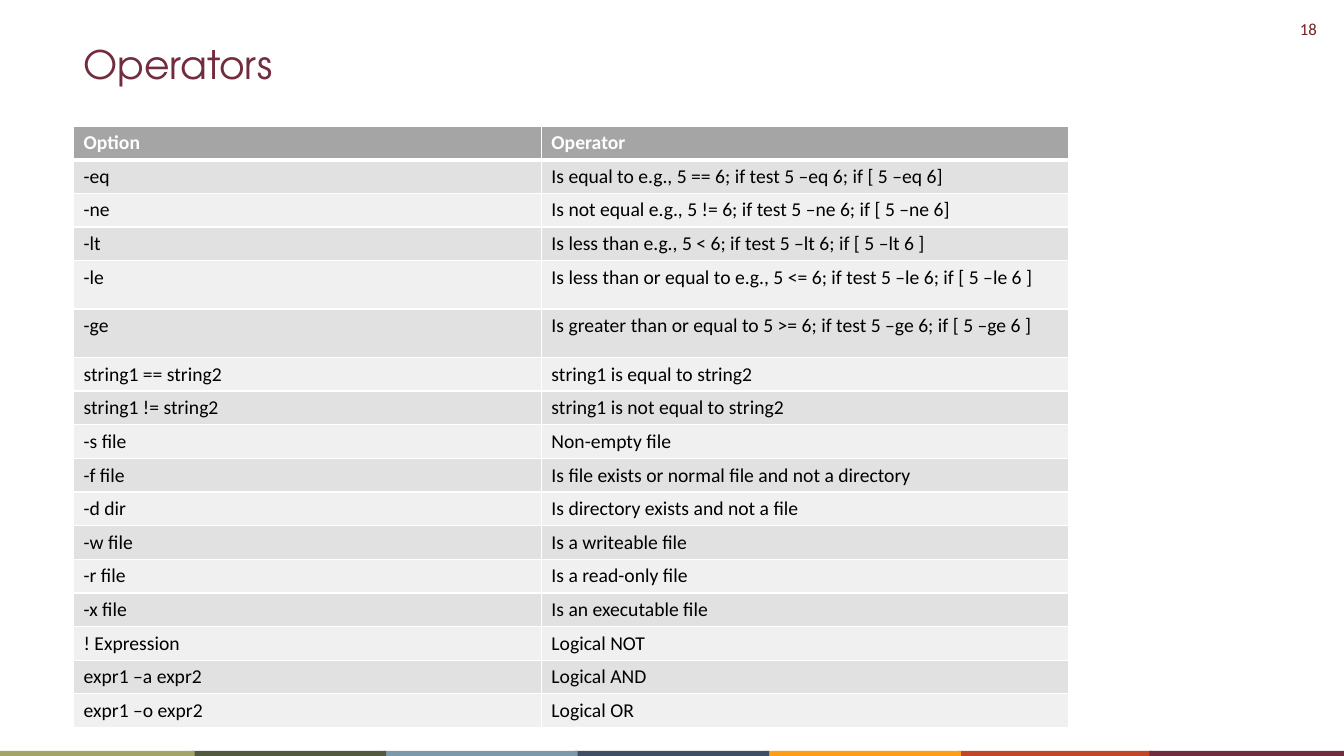
"""Build the slide that lists shell test operators."""
from lxml import etree
from pptx import Presentation
from pptx.dml.color import RGBColor
from pptx.enum import shapes, text
from pptx.oxml import ns
from pptx.util import Inches, Pt

WHITE = RGBColor(0xFF, 0xFF, 0xFF)
BLACK = RGBColor(0x00, 0x00, 0x00)
PLUM = RGBColor(0x71, 0x2C, 0x3D)
DARK_RED = RGBColor(0x76, 0x21, 0x23)
HEADER_GREY = RGBColor(0xA5, 0xA5, 0xA5)
BAND_GREYS = [RGBColor(0xF0, 0xF0, 0xF0), RGBColor(0xE1, 0xE1, 0xE1)]
STRIPE_COLORS = [
    RGBColor(0xA3, 0xA4, 0x67),
    RGBColor(0x53, 0x59, 0x3E),
    RGBColor(0x7C, 0x98, 0xAB),
    RGBColor(0x40, 0x4E, 0x65),
    RGBColor(0xFF, 0x9E, 0x16),
    RGBColor(0xC3, 0x46, 0x28),
    PLUM,
]
STRIPE_ORDER = [5, 6, 4, 3, 2, 1, 0]
OPERATORS = [
    ("Option", "Operator"),
    ("-eq", "Is equal to e.g., 5 == 6; if test 5 –eq 6; if [ 5 –eq 6]"),
    ("-ne", "Is not equal e.g., 5 != 6; if test 5 –ne 6; if [ 5 –ne 6]"),
    ("-lt", "Is less than e.g., 5 < 6; if test 5 –lt 6; if [ 5 –lt 6 ]"),
    ("-le", "Is less than or equal to e.g., 5 <= 6; if test 5 –le 6; if [ 5 –le 6 ]"),
    ("-ge", "Is greater than or equal to 5 >= 6; if test 5 –ge 6; if [ 5 –ge 6 ]"),
    ("string1 == string2", "string1 is equal to string2"),
    ("string1 != string2", "string1 is not equal to string2"),
    ("-s file", "Non-empty file"),
    ("-f file", "Is file exists or normal file and not a directory"),
    ("-d dir", "Is directory exists and not a file"),
    ("-w file", "Is a writeable file"),
    ("-r file", "Is a read-only file"),
    ("-x file", "Is an executable file"),
    ("! Expression", "Logical NOT"),
    ("expr1 –a expr2", "Logical AND"),
    ("expr1 –o expr2", "Logical OR"),
]
TALL_ROWS = ("-le", "-ge")


def style_font(paragraph, name, size, color, bold=False):
    """Format the only run of a paragraph."""
    font = paragraph.runs[0].font
    font.name, font.size, font.bold = name, Pt(size), bold
    font.color.rgb = color


def add_border(cell, side, width):
    """Put a white border on one side of a cell."""
    properties = cell._tc.get_or_add_tcPr()
    line = etree.Element(ns.qn(f"a:ln{side}"), w=str(Pt(width)))
    fill = etree.SubElement(line, ns.qn("a:solidFill"))
    etree.SubElement(fill, ns.qn("a:srgbClr"), val=str(WHITE))
    properties.append(line)


presentation = Presentation()
presentation.slide_width = Inches(13.33)
presentation.slide_height = Inches(7.5)
slide = presentation.slides.add_slide(presentation.slide_layouts[6])

number_box = slide.shapes.add_textbox(Inches(12.46), Inches(0.14), Inches(0.7), Inches(0.3))
number_box.text_frame.word_wrap = True
number_box.text_frame.text = "18"
number = number_box.text_frame.paragraphs[0]
number.alignment = text.PP_ALIGN.RIGHT
style_font(number, "Calibri", 12, DARK_RED)

for position in STRIPE_ORDER:
    stripe = slide.shapes.add_shape(
        shapes.MSO_SHAPE.RECTANGLE,
        Inches(1.9 * position), Inches(7.45), Inches(1.93), Inches(0.06))
    stripe.shadow.inherit = False
    stripe.fill.solid()
    stripe.fill.fore_color.rgb = STRIPE_COLORS[position]
    stripe.line.fill.background()

title_box = slide.shapes.add_textbox(Inches(0.73), Inches(0.29), Inches(9.11), Inches(0.64))
title_box.text_frame.word_wrap = True
title_box.text_frame.text = "Operators"
title = title_box.text_frame.paragraphs[0]
title.line_spacing = 1.14
style_font(title, "TeX Gyre Adventor", 28, PLUM)

table_frame = slide.shapes.add_table(
    len(OPERATORS), 2, Inches(0.73), Inches(1.25), Inches(9.87), Inches(5.96))
table = table_frame.table
table.columns[0].width = Inches(4.64)
table.columns[1].width = Inches(5.23)

for row_index, entry in enumerate(OPERATORS):
    is_header = row_index == 0
    table.rows[row_index].height = Inches(0.48 if entry[0] in TALL_ROWS else 0.31)
    for column_index, wording in enumerate(entry):
        cell = table.cell(row_index, column_index)
        cell.text_frame.text = wording
        style_font(cell.text_frame.paragraphs[0], "Calibri", 14,
                   WHITE if is_header else BLACK, is_header)
        for side in "LRTB":
            thick = (is_header and side == "B") or (row_index == 1 and side == "T")
            add_border(cell, side, 3 if thick else 1)
        cell.fill.solid()
        cell.fill.fore_color.rgb = HEADER_GREY if is_header else BAND_GREYS[row_index % 2]

table_frame.height = Inches(5.96)
presentation.save("out.pptx")
